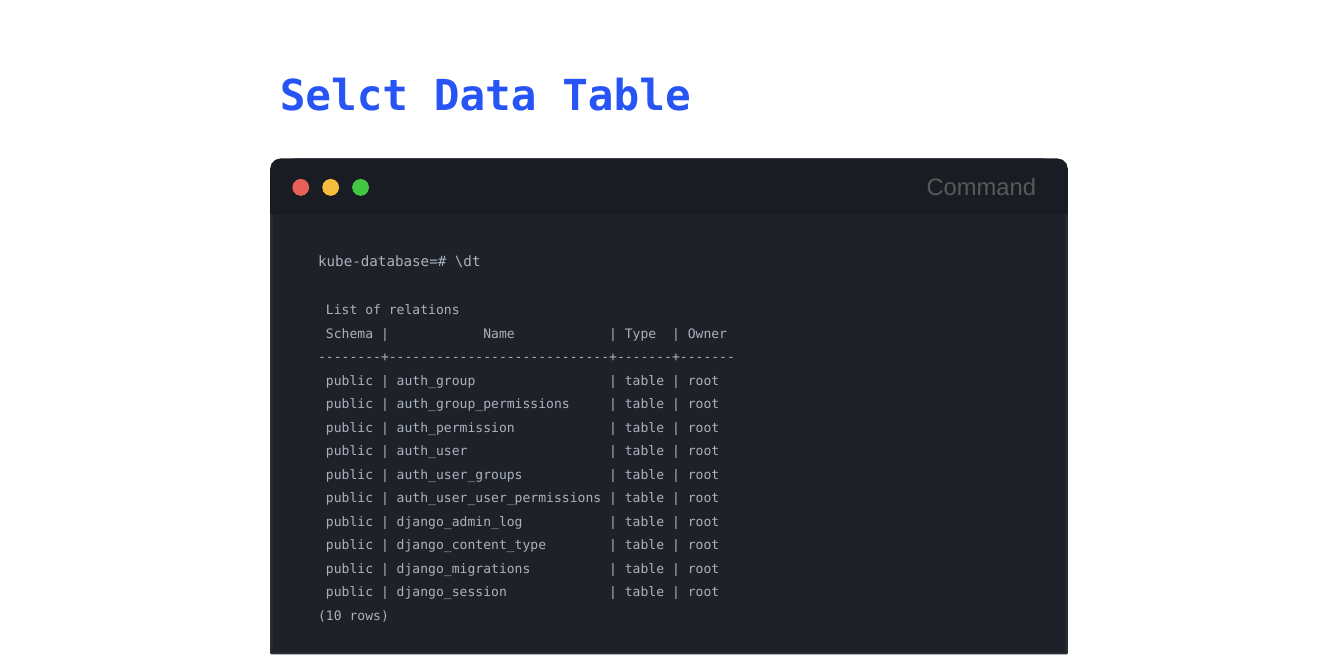
from dataclasses import dataclass

from pptx import Presentation
from pptx.dml.color import RGBColor
from pptx.enum.shapes import MSO_SHAPE as Shape
from pptx.util import Inches, Pt


@dataclass(frozen=True)
class Theme:
    mono: str = "DejaVu Sans Mono"
    sans: str = "Arial"
    title: str = "2754F4"
    body: str = "1E2228"
    body_line: str = "282C34"
    bar: str = "191C23"
    dots: tuple = ("E96057", "F6BD3C", "44C645")
    code: str = "ABB2BF"
    label: str = "595959"
    title_size: int = 36
    label_size: int = 20
    prompt_size: int = 12
    code_size: int = 11
    line_width: int = 2


@dataclass(frozen=True)
class Box:
    x: float
    y: float
    w: float
    h: float

    def inner(self, x, y, w, h):
        """Return the inner box given in percent of this one."""
        return Box(self.x + self.w * x / 100, self.y + self.h * y / 100,
                   self.w * w / 100, self.h * h / 100)

    def emu(self):
        return [Inches(v) for v in (self.x, self.y, self.w, self.h)]


THEME = Theme()
SLIDE = Box(0, 0, 15.75, 7.87)
TABLES = (
    "auth_group", "auth_group_permissions", "auth_permission", "auth_user",
    "auth_user_groups", "auth_user_user_permissions", "django_admin_log",
    "django_content_type", "django_migrations", "django_session",
)
COLUMNS = (8, 28, 7, 7)


def add_panel(s, kind, box, fill, line, radius=None):
    sp = s.shapes.add_shape(kind, *box.emu())
    sp.shadow.inherit = False
    sp.fill.solid()
    sp.fill.fore_color.rgb = RGBColor.from_string(fill)
    sp.line.color.rgb = RGBColor.from_string(line)
    sp.line.width = Pt(THEME.line_width)
    if radius is not None:
        sp.adjustments[0] = radius
        sp.adjustments[1] = 0


def add_text(s, box, text, font, size, color, bold=False):
    tf = s.shapes.add_textbox(*box.emu()).text_frame
    tf.word_wrap = True
    tf.text = text
    for p in tf.paragraphs:
        for r in p.runs:
            r.font.name = font
            r.font.size = Pt(size)
            r.font.bold = bold
            r.font.color.rgb = RGBColor.from_string(color)
    return tf


def add_title(s, box):
    tf = add_text(s, box, "Selct Data Table", THEME.mono, THEME.title_size,
                  THEME.title, bold=True)
    tf.margin_left = tf.margin_right = Inches(0.1)
    tf.margin_top = tf.margin_bottom = Inches(0.1)


def add_title_bar(s, box):
    add_panel(s, Shape.ROUND_2_SAME_RECTANGLE, box, THEME.bar, THEME.bar, 0.17)
    for i, color in enumerate(THEME.dots):
        dot = box.inner(2.79 + 3.76 * i, 38.1, 1.82, 26.98)
        add_panel(s, Shape.OVAL, dot, color, color)
    add_text(s, box.inner(81.33, 14.29, 22.64, 69.84), "Command",
             THEME.sans, THEME.label_size, THEME.label)


def listing():
    """Return the terminal lines, padded to the column widths."""
    name_width = COLUMNS[1] - 2
    header = f" Schema |{'Name':^{COLUMNS[1]}}| Type  | Owner"
    rule = "+".join("-" * width for width in COLUMNS)
    rows = [f" public | {name:<{name_width}} | table | root" for name in TABLES]
    return ["kube-database=# \\dt", " List of relations", header, rule,
            *rows, f"({len(TABLES)} rows)"]


def add_code(s, box):
    tf = add_text(s, box, "\n".join(listing()), THEME.mono, THEME.code_size,
                  THEME.code)
    for p in tf.paragraphs:
        p.line_spacing = 1.5
    prompt, heading = tf.paragraphs[:2]
    prompt.runs[0].font.size = Pt(THEME.prompt_size)
    heading.space_before = Pt(21)


def add_terminal(s, box):
    add_panel(s, Shape.ROUND_2_SAME_RECTANGLE, box, THEME.body,
              THEME.body_line, 0.05)
    add_title_bar(s, box.inner(0, 0, 100, 10.9))
    add_code(s, box.inner(4.83, 16.09, 94.31, 83.91))


def main():
    prs = Presentation()
    prs.slide_width, prs.slide_height = Inches(SLIDE.w), Inches(SLIDE.h)
    s = prs.slides.add_slide(prs.slide_layouts[6])
    add_title(s, SLIDE.inner(20.19, 8.89, 59.17, 8.01))
    add_terminal(s, SLIDE.inner(20.19, 23.76, 59.17, 73.44))
    prs.save("out.pptx")


if __name__ == "__main__":
    main()
